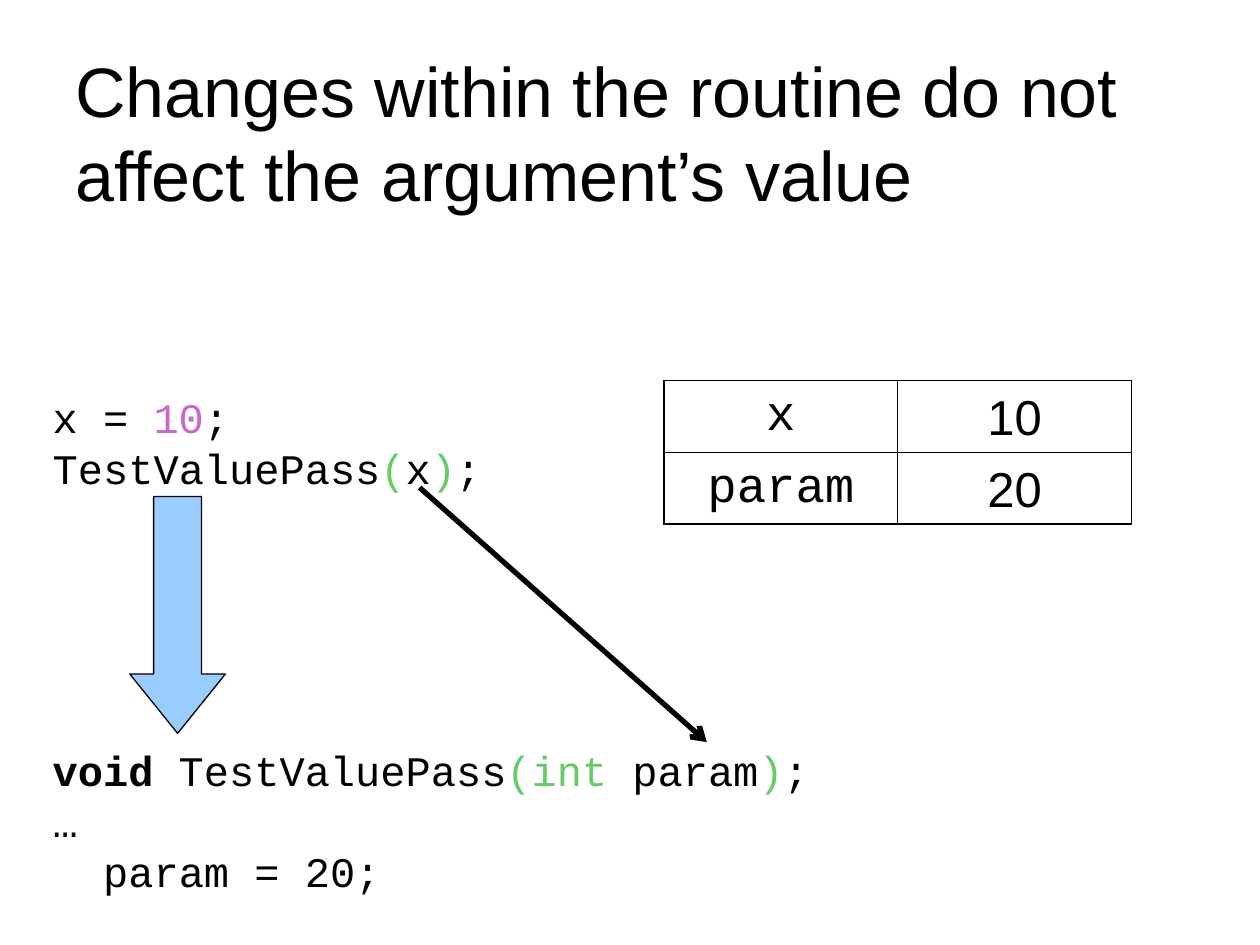
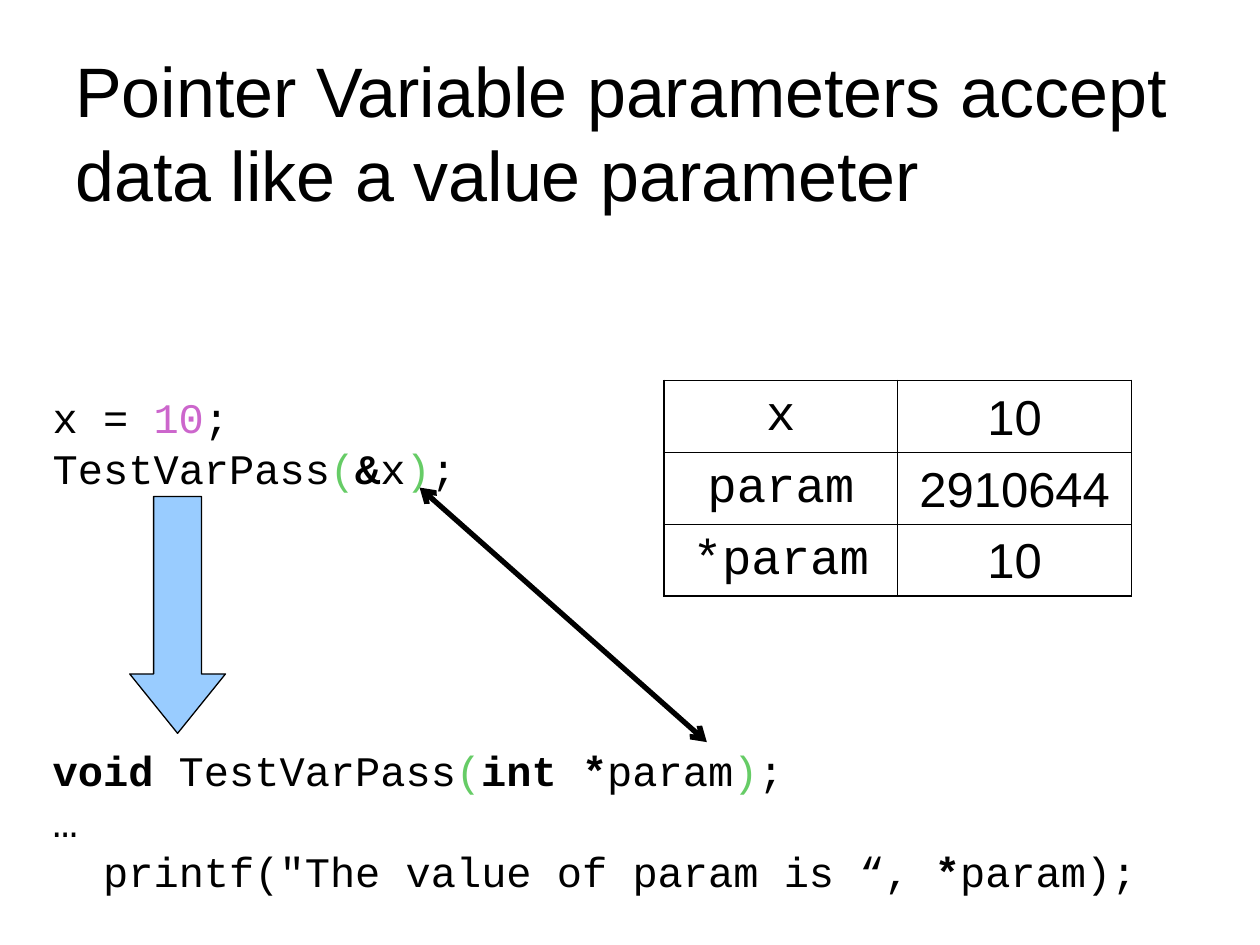
from lxml import etree
from pptx import Presentation, util as u
from pptx.dml.color import RGBColor
from pptx.enum import shapes, text
from pptx.oxml.ns import qn

BLACK, GREEN, PURPLE, BLUE = "000000", "66CC66", "CC66CC", "99CCFF"
SANS, MONO = "Arial", "Courier New"
OUTER, INNER = 1.08, 0.45
STYLES = {
    "plain": {"color": BLACK, "bold": False},
    "bold": {"color": BLACK, "bold": True},
    "green": {"color": GREEN, "bold": False},
    "purple": {"color": PURPLE, "bold": False},
}
FRAME = {
    "word_wrap": True,
    "margin_left": u.Inches(0.1),
    "margin_right": u.Inches(0.1),
    "margin_top": u.Inches(0.08),
    "margin_bottom": u.Inches(0.02),
    "vertical_anchor": text.MSO_ANCHOR.TOP,
}
FIRST_LINE = [("x = ", "plain"), ("10", "purple"), (";", "plain")]
SLIDES = [
    {
        "title": "Changes within the routine do not affect the argument’s value",
        "code": [
            FIRST_LINE,
            [("TestValuePass", "plain"), ("(", "green"), ("x", "plain"),
             (")", "green"), (";", "plain")],
            [("void", "bold"), (" TestValuePass", "plain"), ("(int ", "green"),
             ("param", "plain"), (")", "green"), (";", "plain")],
            [("…", "plain")],
            [("param = 20;", "plain")],
        ],
        "values": [("x", "10"), ("param", "20")],
        "ends": ["tailEnd"],
    },
    {
        "title": "Pointer Variable parameters accept data like a value parameter",
        "code": [
            FIRST_LINE,
            [("TestVarPass", "plain"), ("(", "green"), ("&", "bold"),
             ("x", "plain"), (")", "green"), (";", "plain")],
            [("void ", "bold"), ("TestVarPass", "plain"), ("(", "green"),
             ("int *", "bold"), ("param", "plain"), (")", "green"), (";", "plain")],
            [("…", "plain")],
            [('printf("The value of param is “, ', "plain"), ("*", "bold"),
             ("param);", "plain")],
        ],
        "values": [("x", "10"), ("param", "2910644"), ("*param", "10")],
        "ends": ["headEnd", "tailEnd"],
    },
]


def rgb(value):
    return RGBColor.from_string(value)


def write(p, runs, font, size):
    p.line_spacing = u.Pt(size * 1.2)
    for words, style in runs:
        r = p.add_run()
        r.text = words
        r.font.color.rgb = rgb(STYLES[style]["color"])
        values = {"name": font, "size": u.Pt(size), "bold": STYLES[style]["bold"]}
        for name, value in values.items():
            setattr(r.font, name, value)


prs = Presentation()
prs.slide_width, prs.slide_height = u.Inches(10), u.Inches(7.5)

for data in SLIDES:
    s = prs.slides.add_slide(prs.slide_layouts[6])

    title = s.shapes.add_textbox(u.Inches(0.5), u.Inches(0.3), u.Inches(9), u.Inches(1.39))
    code = s.shapes.add_textbox(u.Inches(0.32), u.Inches(3.03), u.Inches(9.35), u.Inches(4.1))
    for sp in (title, code):
        for name, value in FRAME.items():
            setattr(sp.text_frame, name, value)
    write(title.text_frame.paragraphs[0], [(data["title"], "plain")], SANS, 40)

    tf = code.text_frame
    tf.auto_size = text.MSO_AUTO_SIZE.SHAPE_TO_FIT_TEXT
    for i, line in enumerate(data["code"]):
        p = tf.paragraphs[0] if i == 0 else tf.add_paragraph()
        write(p, line, MONO, 24)
    tf.paragraphs[2].space_before = u.Pt(5 * 28.8)
    tf.paragraphs[4]._p.get_or_add_pPr().set("marL", str(u.Inches(0.4)))

    sp = s.shapes.add_shape(shapes.MSO_SHAPE.DOWN_ARROW, u.Inches(1.03), u.Inches(3.94),
                            u.Inches(0.76), u.Inches(1.88))
    sp.adjustments[0], sp.adjustments[1] = 0.5, 0.62
    sp.shadow.inherit = False
    sp.fill.solid()
    sp.fill.fore_color.rgb = rgb(BLUE)
    sp.line.color.rgb = rgb(BLACK)
    sp.line.width = u.Pt(0.75)

    count = len(data["values"])
    table = s.shapes.add_table(count, 2, u.Inches(5.27), u.Inches(3.02),
                               u.Inches(3.71), u.Inches(0.57 * count)).table
    table.first_row = table.horz_banding = False
    for row, values in enumerate(data["values"]):
        table.rows[row].height = u.Inches(0.57)
        for col, words in enumerate(values):
            cell = table.cell(row, col)
            cell.fill.background()
            cell.margin_left = cell.margin_right = u.Inches(0.1)
            cell.margin_top = cell.margin_bottom = u.Inches(0.05)
            p = cell.text_frame.paragraphs[0]
            p.alignment = text.PP_ALIGN.CENTER
            write(p, [(words, "plain")], (MONO, SANS)[col], 28)
            edges = {"lnL": col == 0, "lnR": col == 1,
                     "lnT": row == 0, "lnB": row == count - 1}
            tcPr = cell._tc.get_or_add_tcPr()
            for i, (tag, outer) in enumerate(edges.items()):
                ln = etree.Element(qn("a:" + tag), w=str(u.Pt(OUTER if outer else INNER)))
                fill = etree.SubElement(ln, qn("a:solidFill"))
                etree.SubElement(fill, qn("a:srgbClr"), val=BLACK)
                tcPr.insert(i, ln)

    link = s.shapes.add_connector(shapes.MSO_CONNECTOR.STRAIGHT, u.Inches(3.33),
                                  u.Inches(3.87), u.Inches(5.61), u.Inches(5.89))
    link.line.color.rgb = rgb(BLACK)
    link.line.width = u.Pt(3)
    spPr = link._element.spPr
    for end in data["ends"]:
        etree.SubElement(spPr.find(qn("a:ln")), qn("a:" + end), type="arrow")
    etree.SubElement(spPr, qn("a:effectLst"))

prs.save("out.pptx")
